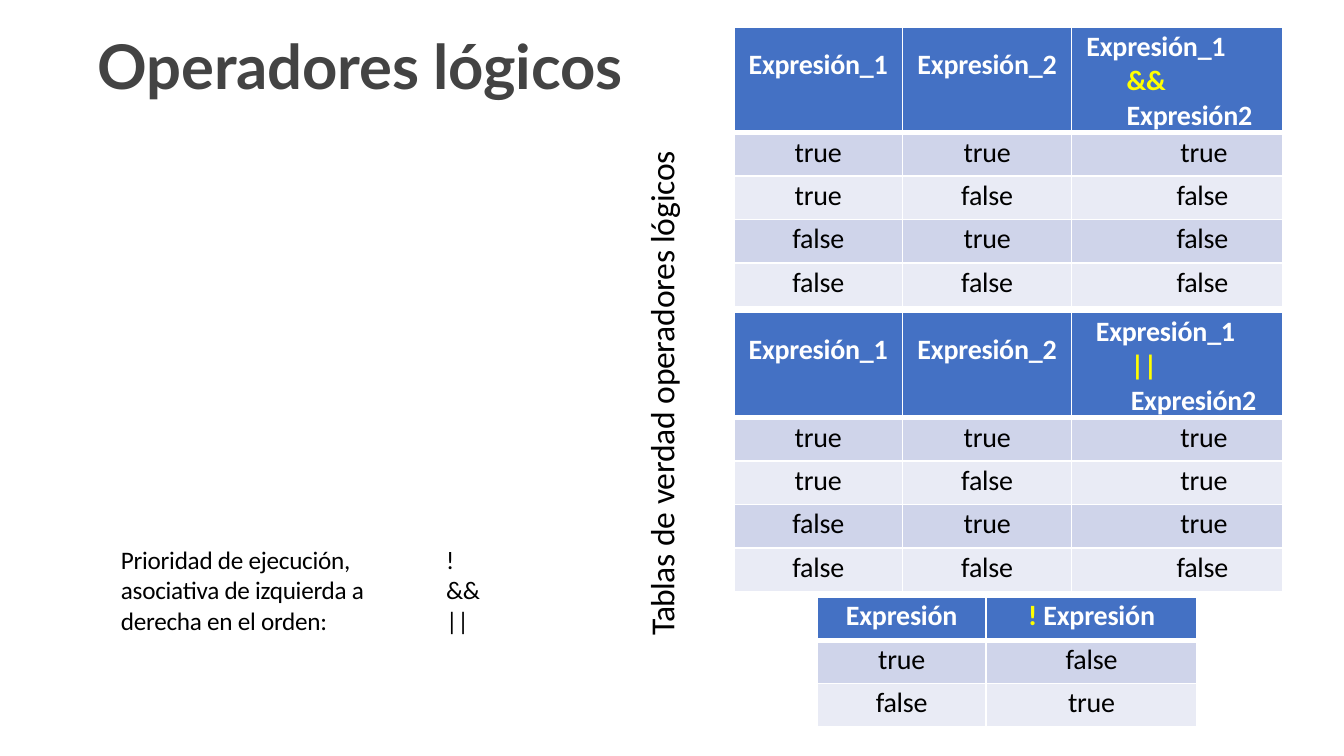
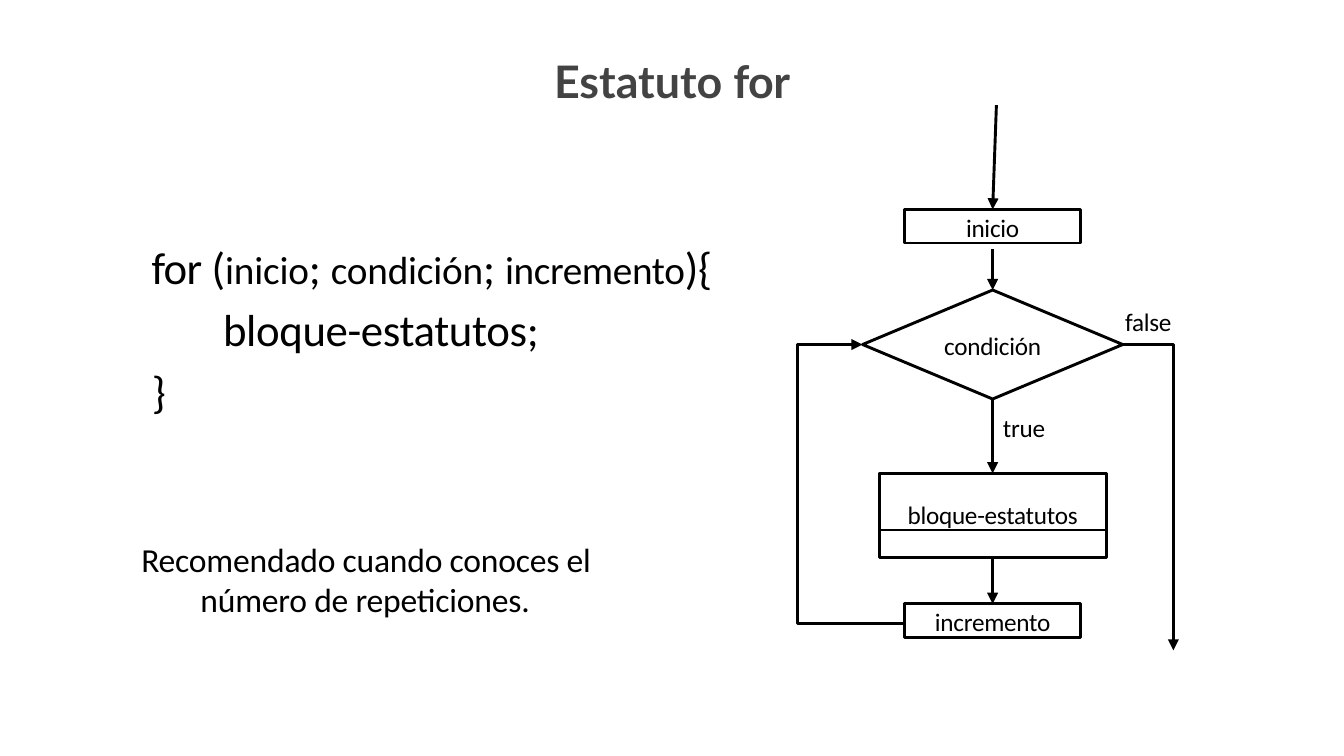
from lxml.etree import SubElement
from pptx import Presentation
from pptx.dml.color import RGBColor
from pptx.enum.shapes import MSO_CONNECTOR, MSO_SHAPE
from pptx.enum.text import MSO_ANCHOR, MSO_AUTO_SIZE, PP_ALIGN
from pptx.oxml.ns import qn
from pptx.util import Pt

# Shared look
BLACK, WHITE, YELLOW, TITLE_GREY = "000000", "FFFFFF", "FFFF00", "434343"
HEADER_BLUE, BAND_DARK, BAND_LIGHT = "4471C4", "CFD4EA", "E9EBF5"
BODY_FONT, TITLE_FONT = "Calibri", "Lato"
LINE_WIDTH = 1.56
SMALL = 13.5

# Content: a paragraph is a list of (text, overrides); "\n" breaks the line
TITLE_LOGIC = [("Operadores lógicos", {})]
TITLE_FOR = [("Estatuto ", {"spacing": 0}), ("for", {"spacing": -0.3})]

HEAD_LEFT = [[("Expresión_1", {})], [("Expresión_2", {})]]
INPUTS = [("true", "true"), ("true", "false"), ("false", "true"), ("false", "false")]
# Operator, results, left indent and first-line indent of its heading, table top
BINARY_TABLES = [
    ("&&", ["true", "false", "false", "false"], 29.5, -21.6, 14.6),
    ("||", ["true", "true", "true", "false"], 31.7, -18.7, 167.3),
]
NOT_HEAD = [[("Expresión", {})], [("! ", {"color": YELLOW}), ("Expresión", {})]]
NOT_ROWS = [("true", "false"), ("false", "true")]
RESULT_INDENT = {"true": 58.3, "false": 56.2}

SIDE_LABEL = [("Tablas", {"spacing": -0.3}), (" de ", {"spacing": 0}),
              ("verdad operadores lógicos", {})]
PRIORITY = [("Prioridad de ejecución,\nasociativa de izquierda a\nderecha en el orden:", {})]
PRIORITY_ORDER = ["!", "&&", "||"]

FOR_HEAD = [("for ", {"spacing": -0.4}), ("(", {}), ("inicio", {"size": 21}), ("; ", {}),
            ("condición", {"size": 21}), ("; ", {}),
            ("incremento", {"size": 21, "spacing": -0.2}),
            ("){\nbloque-estatutos;", {"spacing": -0.2})]
FOR_END = [("}", {"spacing": 0})]
ADVICE = [("Recomendado cuando conoces el\nnúmero de repeticiones.", {})]

# Table measures
COL, RESULT_COL, ROW, TALL_ROW = 90.5, 113, 23.3, 55.5
TABLE_LEFT, NOT_LEFT, NOT_TOP = 393.1, 437.8, 319.7
THIN, THICK = 1, 3

# Flowchart measures: shape, width, top, height, text, anchor
AXIS = 531.8
STEPS = {
    "start": (MSO_SHAPE.RECTANGLE, 94.4, 112.2, 18, "inicio", MSO_ANCHOR.TOP),
    "test": (MSO_SHAPE.DIAMOND, 139.4, 155.4, 58.4, "condición", MSO_ANCHOR.MIDDLE),
    "frame": (MSO_SHAPE.RECTANGLE, 121.6, 253.6, 45, "", MSO_ANCHOR.TOP),
    "body": (MSO_SHAPE.RECTANGLE, 121.6, 253.6, 30.4, "bloque-estatutos", MSO_ANCHOR.BOTTOM),
    "step": (MSO_SHAPE.RECTANGLE, 94.4, 323.5, 18, "incremento", MSO_ANCHOR.TOP),
}
# Start (a point or a step left from below) and the step entered from above
ARROWS = [((533.8, 56.3), "start"), ((AXIS, 133.6), "test"), ("test", "frame"), ("frame", "step")]
LOOP_LEFT, EXIT_RIGHT, EXIT_BOTTOM = 427.5, 628.6, 348.5
BRANCH_LABELS = [("true", 537.3, 220.4, 26), ("false", 602.8, 163.5, 28)]


def rgb(color):
    return RGBColor.from_string(color)


def write(para, spans, size, color=BLACK, bold=False, font=BODY_FONT,
          align=PP_ALIGN.LEFT, indent=0, first=0):
    """Fill a paragraph run by run."""
    para.alignment = align
    properties = para._p.get_or_add_pPr()
    properties.set("marL", str(Pt(indent)))
    properties.set("indent", str(Pt(first)))
    for text, changes in spans:
        for number, piece in enumerate(text.split("\n")):
            if number:
                para.add_line_break()
            span = para.add_run()
            span.text = piece
            span.font.name = font
            span.font.size = Pt(changes.get("size", size))
            span.font.bold = bold
            span.font.color.rgb = rgb(changes.get("color", color))
            spacing = round(changes.get("spacing", -0.1) * 100)
            span.font._element.set("spc", str(spacing))


def prepare(frame, top=0.7, anchor=MSO_ANCHOR.TOP):
    frame.word_wrap = True
    frame.auto_size = MSO_AUTO_SIZE.NONE
    frame.vertical_anchor = anchor
    frame.margin_left = frame.margin_right = frame.margin_bottom = 0
    frame.margin_top = Pt(top)
    return frame


def add_text(page, left, top, width, height, spans, size, **style):
    box = page.shapes.add_textbox(Pt(left), Pt(top), Pt(width), Pt(height))
    frame = prepare(box.text_frame)
    write(frame.paragraphs[0], spans, size, **style)
    return frame


def add_page(deck, title, size, left, top, width, height):
    page = deck.slides.add_slide(deck.slide_layouts[5])
    box = page.shapes.title
    box.left, box.top, box.width, box.height = Pt(left), Pt(top), Pt(width), Pt(height)
    para = prepare(box.text_frame).paragraphs[0]
    write(para, title, size, TITLE_GREY, True, TITLE_FONT, PP_ALIGN.CENTER)
    return page


# Tables
def set_borders(cell, row):
    properties = cell._tc.get_or_add_tcPr()
    widths = {"L": THIN, "R": THIN, "T": THICK if row == 1 else THIN,
              "B": THICK if row == 0 else THIN}
    for side, width in widths.items():
        line = SubElement(properties, qn("a:ln" + side), w=str(Pt(width)))
        SubElement(SubElement(line, qn("a:solidFill")), qn("a:srgbClr"), val=WHITE)


def add_truth_table(page, left, top, columns, header_height, heads, rows, layout):
    """layout(row, column, text) gives the top inset and the paragraph style."""
    heights = [header_height] + [ROW] * len(rows)
    table = page.shapes.add_table(len(heights), len(columns), Pt(left), Pt(top),
                                  Pt(sum(columns)), Pt(sum(heights))).table
    table.horz_banding = False
    for column, width in zip(table.columns, columns):
        column.width = Pt(width)
    for row, height in zip(table.rows, heights):
        row.height = Pt(height)
    body = [[[(text, {})] for text in row] for row in rows]
    for r, line in enumerate([heads] + body):
        for c, spans in enumerate(line):
            cell = table.cell(r, c)
            set_borders(cell, r)
            cell.fill.solid()
            fill = HEADER_BLUE if r == 0 else (BAND_DARK if r % 2 else BAND_LIGHT)
            cell.fill.fore_color.rgb = rgb(fill)
            inset, style = layout(r, c, spans[0][0])
            cell.margin_left = cell.margin_right = cell.margin_bottom = 0
            cell.margin_top = Pt(inset)
            write(cell.text_frame.paragraphs[0], spans, 15,
                  WHITE if r == 0 else BLACK, r == 0, **style)


def add_binary_table(page, operator, results, indent, first, top):
    def layout(row, column, text):
        if column < 2:
            return (1.4 if row else 10.8), {"align": PP_ALIGN.CENTER}
        if row:
            return 1.4, {"indent": RESULT_INDENT[text]}
        return 1.4, {"indent": indent, "first": first}

    head = [("Expresión_1\n", {}), (operator, {"color": YELLOW}), ("\nExpresión2", {})]
    rows = [pair + (result,) for pair, result in zip(INPUTS, results)]
    add_truth_table(page, TABLE_LEFT, top, [COL, COL, RESULT_COL], TALL_ROW,
                    HEAD_LEFT + [head], rows, layout)


# Flowchart
def style_line(shape, arrow=False):
    shape.line.color.rgb = rgb(BLACK)
    shape.line.width = Pt(LINE_WIDTH)
    if arrow:
        SubElement(shape.line._get_or_add_ln(), qn("a:tailEnd"), type="triangle")


def add_step(page, kind, width, top, height, text, anchor):
    shape = page.shapes.add_shape(kind, Pt(AXIS - width / 2), Pt(top), Pt(width), Pt(height))
    shape.shadow.inherit = False
    shape.fill.background()
    style_line(shape)
    if text:
        frame = prepare(shape.text_frame, 1.4, anchor)
        write(frame.paragraphs[0], [(text, {})], SMALL, align=PP_ALIGN.CENTER)
    return shape


def add_arrow(page, steps, start, target):
    x, y = (AXIS, 0) if start in steps else start
    arrow = page.shapes.add_connector(MSO_CONNECTOR.STRAIGHT, Pt(x), Pt(y), Pt(AXIS), Pt(y))
    if start in steps:
        arrow.begin_connect(steps[start], 2)
    arrow.end_connect(steps[target], 0)
    style_line(arrow, arrow=True)
    SubElement(arrow._element.spPr, qn("a:effectLst"))


def add_bent_arrow(page, points):
    corners = [(Pt(x), Pt(y)) for x, y in points]
    builder = page.shapes.build_freeform(*corners[0], scale=1.0)
    builder.add_line_segments(corners[1:], close=False)
    route = builder.convert_to_shape()
    route.shadow.inherit = False
    route.fill.background()
    style_line(route, arrow=True)


def build_logic_page(deck):
    page = add_page(deck, TITLE_LOGIC, 33, 0, 14.4, 386, 42)
    for table in BINARY_TABLES:
        add_binary_table(page, *table)
    add_truth_table(page, NOT_LEFT, NOT_TOP, [COL, RESULT_COL], ROW, NOT_HEAD, NOT_ROWS,
                    lambda row, column, text: (1.4, {"align": PP_ALIGN.CENTER}))
    # Vertical label
    frame = add_text(page, 347, 75, 18.7, 265.7, SIDE_LABEL, 18)
    frame.margin_top = 0
    frame.paragraphs[0].line_spacing = Pt(17.9)
    frame._txBody.bodyPr.set("vert", "vert270")
    # Priority of the operators
    add_text(page, 64.8, 291, 136, 50, PRIORITY, SMALL)
    frame = add_text(page, 239, 291, 20, 50, [(PRIORITY_ORDER[0], {})], SMALL)
    for operator in PRIORITY_ORDER[1:]:
        write(frame.add_paragraph(), [(operator, {})], SMALL)


def build_for_page(deck):
    page = add_page(deck, TITLE_FOR, 24, 155, 28, 410, 74)
    # Syntax and advice
    frame = add_text(page, 80.6, 123, 306, 102, FOR_HEAD, 24, indent=38.9, first=-38.2)
    frame.paragraphs[0].line_spacing = 1.16
    closing = frame.add_paragraph()
    write(closing, FOR_END, 24, indent=0.7)
    closing.space_before = Pt(4.5)
    add_text(page, 75, 288, 245, 45, ADVICE, 18, indent=32.4, first=-31.7)
    # Steps and arrows
    steps = {name: add_step(page, *step) for name, step in STEPS.items()}
    for start, target in ARROWS:
        add_arrow(page, steps, start, target)
    _, test_width, test_top, test_height, _, _ = STEPS["test"]
    _, step_width, step_top, step_height, _, _ = STEPS["step"]
    test_y, step_y = test_top + test_height / 2, step_top + step_height / 2 + 1.5
    add_bent_arrow(page, [(AXIS - step_width / 2, step_y), (LOOP_LEFT, step_y),
                          (LOOP_LEFT, test_y), (AXIS - test_width / 2, test_y)])
    add_bent_arrow(page, [(AXIS + test_width / 2, test_y), (EXIT_RIGHT, test_y),
                          (EXIT_RIGHT, EXIT_BOTTOM)])
    for text, left, top, width in BRANCH_LABELS:
        add_text(page, left, top, width, 17.3, [(text, {})], SMALL)


def main():
    deck = Presentation()
    deck.slide_width, deck.slide_height = Pt(720), Pt(405)
    build_logic_page(deck)
    build_for_page(deck)
    deck.save("out.pptx")


if __name__ == "__main__":
    main()
